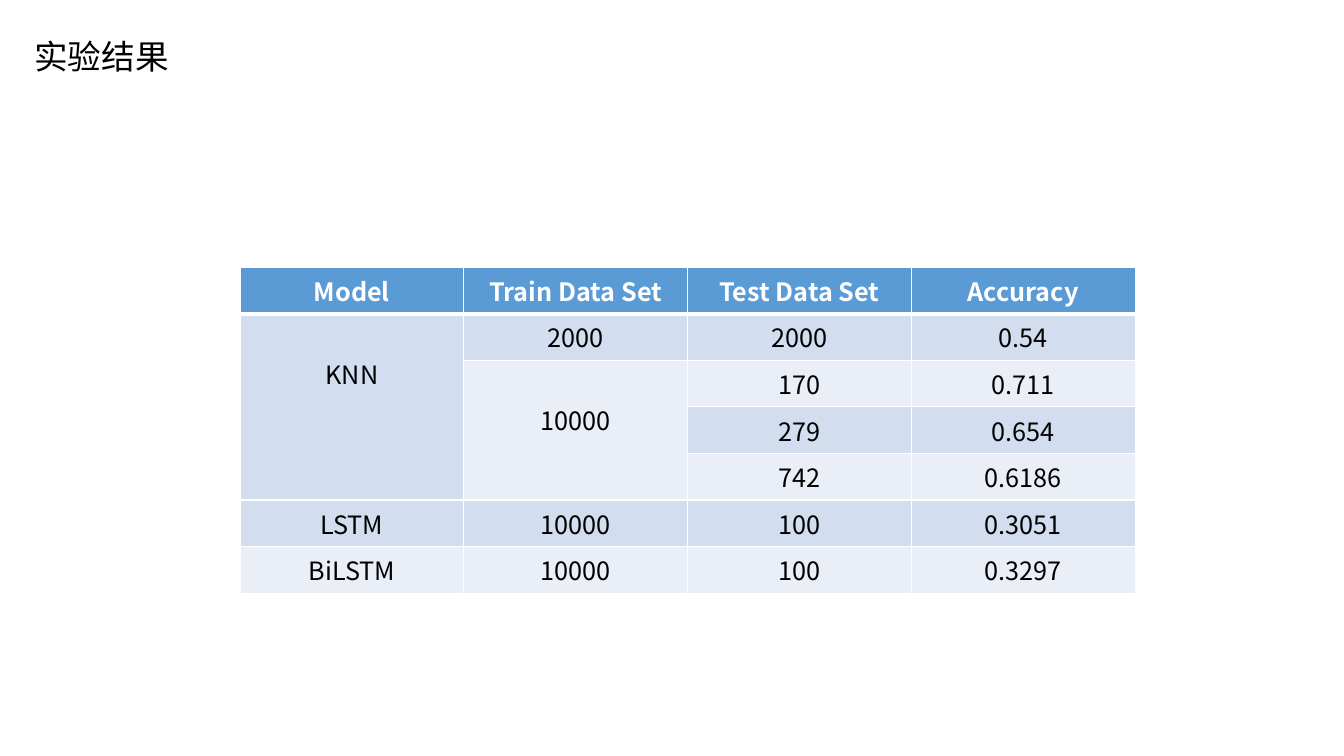
from lxml.etree import SubElement
from pptx import Presentation
from pptx.dml.color import RGBColor
from pptx.enum.text import MSO_ANCHOR, PP_ALIGN
from pptx.oxml import parse_xml
from pptx.oxml.ns import nsdecls, qn
from pptx.util import Inches, Pt

FONT = "Noto Sans CJK SC"
BLACK, WHITE = "000000", "FFFFFF"
HEADER_FILL, BANDS = "5B9BD5", ("EAEFF7", "D2DEEF")
ROW_HEIGHT, COLUMN_WIDTH = 0.46, 2.22
RESULTS = [
    ("Model", "Train Data Set", "Test Data Set", "Accuracy"),
    ("KNN", "2000", "2000", "0.54"),
    (None, "10000", "170", "0.711"),
    (None, None, "279", "0.654"),
    (None, None, "742", "0.6186"),
    ("LSTM", "10000", "100", "0.3051"),
    ("BiLSTM", "10000", "100", "0.3297"),
]
MERGES = [(1, 0, 4), (2, 1, 4)]


def rgb(value):
    """Turn a hex string into a colour."""
    return RGBColor.from_string(value)


def add_run(p, text, size, color, bold=False):
    """Add one formatted run to a paragraph."""
    r = p.add_run()
    r.text = text
    r.font.size, r.font.bold, r.font.name = Pt(size), bold, FONT
    r.font.color.rgb = rgb(color)
    SubElement(r.font._element, qn("a:ea"), typeface=FONT)


def add_title(s, text):
    """Place and format the title placeholder."""
    sp = s.shapes.title
    sp.left, sp.top = Inches(0.24), Inches(0.19)
    sp.width, sp.height = Inches(2.23), Inches(0.79)
    tf = sp.text_frame
    tf.vertical_anchor = MSO_ANCHOR.MIDDLE
    p = tf.paragraphs[0]
    p.alignment, p.line_spacing = PP_ALIGN.LEFT, 0.9
    add_run(p, text, 24, BLACK)


def set_borders(cell, row):
    """Draw white cell borders, thicker under the header."""
    widths = {"L": 1, "R": 1, "T": 3 if row == 1 else 1, "B": 3 if row == 0 else 1}
    tc_pr = cell._tc.get_or_add_tcPr()
    for i, (side, width) in enumerate(widths.items()):
        tc_pr.insert(i, parse_xml(
            f'<a:ln{side} {nsdecls("a")} w="{Pt(width)}"><a:solidFill>'
            f'<a:srgbClr val="{WHITE}"/></a:solidFill></a:ln{side}>'))


def format_cell(cell, text, row):
    """Fill, outline and write one table cell."""
    header = row == 0
    cell.fill.solid()
    cell.fill.fore_color.rgb = rgb(HEADER_FILL if header else BANDS[row % 2])
    set_borders(cell, row)
    if text:
        p = cell.text_frame.paragraphs[0]
        p.alignment = PP_ALIGN.CENTER
        add_run(p, text, 18, WHITE if header else BLACK, header)


def add_results_table(s):
    """Add the table of model results with its merged cells."""
    rows, cols = len(RESULTS), len(RESULTS[0])
    table = s.shapes.add_table(
        rows, cols, Inches(2.38), Inches(2.65),
        Inches(COLUMN_WIDTH * cols), Inches(ROW_HEIGHT * rows)).table
    for column in table.columns:
        column.width = Inches(COLUMN_WIDTH)
    for i, values in enumerate(RESULTS):
        table.rows[i].height = Inches(ROW_HEIGHT)
        for j, text in enumerate(values):
            format_cell(table.cell(i, j), text, i)
    for first, col, last in MERGES:
        cell = table.cell(first, col)
        cell.merge(table.cell(last, col))
        cell.margin_top = Inches(0.41)


def main():
    """Build and save the slide."""
    prs = Presentation()
    prs.slide_width, prs.slide_height = Inches(13.33), Inches(7.5)
    s = prs.slides.add_slide(prs.slide_layouts[5])
    add_title(s, "实验结果")
    add_results_table(s)
    prs.save("out.pptx")


if __name__ == "__main__":
    main()
